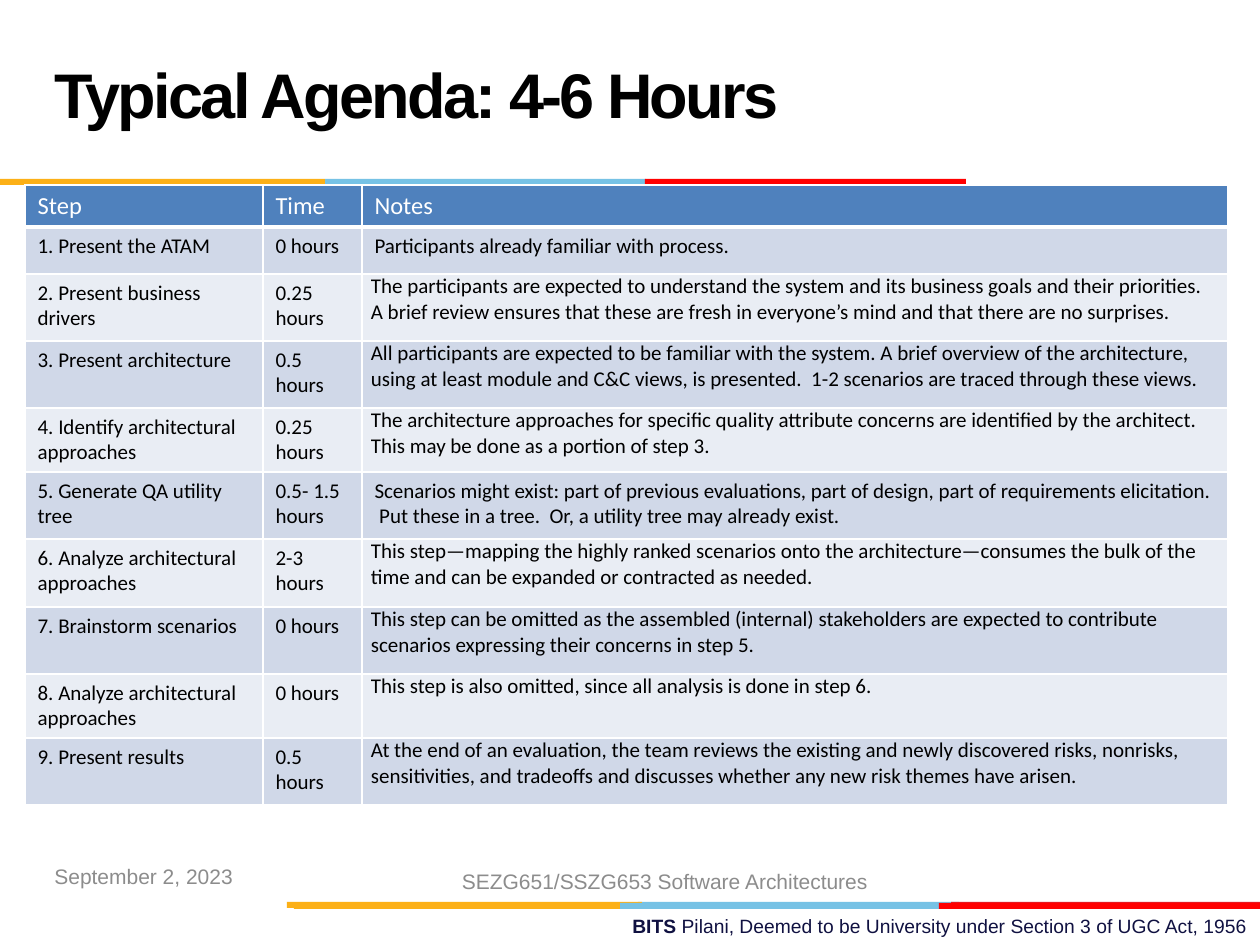
from lxml import etree
from pptx import Presentation
from pptx import util as u
from pptx.dml.color import RGBColor
from pptx.enum import shapes, text
from pptx.oxml.ns import qn

BLACK = RGBColor(0x00, 0x00, 0x00)
WHITE = RGBColor(0xFF, 0xFF, 0xFF)
GRAY = RGBColor(0x8C, 0x8C, 0x8C)
NAVY = RGBColor(0x10, 0x11, 0x41)
GOLD = RGBColor(0xFC, 0xB0, 0x17)
SKY = RGBColor(0x76, 0xC2, 0xE5)
CRIMSON = RGBColor(0xE3, 0x1C, 0x24)
RED = RGBColor(0xFF, 0x00, 0x00)
HEADER = RGBColor(0x4F, 0x81, 0xBD)
BANDS = [RGBColor(0xD0, 0xD8, 0xE8), RGBColor(0xE9, 0xED, 0xF4)]

TITLE = "Typical Agenda: 4-6 Hours"
DATE = "September 2, 2023"
COURSE = "SEZG651/SSZG653 Software Architectures"
UNIVERSITY = "BITS "
STATUS = "Pilani, Deemed to be University under Section 3 of UGC Act, 1956"

HEADINGS = ("Step", "Time", "Notes")
STEPS = [
    ("1. Present the ATAM", "0 hours", "Participants already familiar with process."),
    ("2. Present business drivers", "0.25 hours",
     "The participants are expected to understand the system and its business goals and their "
     "priorities. A brief review ensures that these are fresh in everyone’s mind and that there "
     "are no surprises."),
    ("3. Present architecture", "0.5 hours",
     "All participants are expected to be familiar with the system. A brief overview of the "
     "architecture, using at least module and C&C views, is presented.  1-2 scenarios are traced "
     "through these views."),
    ("4. Identify architectural approaches", "0.25 hours",
     "The architecture approaches for specific quality attribute concerns are identified by the "
     "architect. This may be done as a portion of step 3."),
    ("5. Generate QA utility tree", "0.5- 1.5 hours",
     "Scenarios might exist: part of previous evaluations, part of design, part of requirements "
     "elicitation.  Put these in a tree.  Or, a utility tree may already exist."),
    ("6. Analyze architectural approaches", "2-3 hours",
     "This step—mapping the highly ranked scenarios onto the architecture—consumes the bulk of "
     "the time and can be expanded or contracted as needed."),
    ("7. Brainstorm scenarios", "0 hours",
     "This step can be omitted as the assembled (internal) stakeholders are expected to "
     "contribute scenarios expressing their concerns in step 5."),
    ("8. Analyze architectural approaches", "0 hours",
     "This step is also omitted, since all analysis is done in step 6."),
    ("9. Present results", "0.5 hours",
     "At the end of an evaluation, the team reviews the existing and newly discovered risks, "
     "nonrisks, sensitivities, and tradeoffs and discusses whether any new risk themes have "
     "arisen."),
]
ROOMY_NOTES = {1, 5}
COLUMN_WIDTHS = [238, 99, 866]
ROW_HEIGHTS = [42, 47, 67, 67, 64, 67, 68, 67, 64, 67]

BAR_HEIGHT = 6
STRIPES = [
    (902, [(638, 321, SKY), (951, 309, CRIMSON), (287, 355, GOLD)]),
    (903, [(620, 321, SKY), (294, 326, GOLD), (939, 321, RED)]),
    (179, [(325, 321, SKY), (0, 325, GOLD), (645, 321, RED)]),
]


def px(count):
    return u.Emu(round(count * 914400 / 126))


def add_run(paragraph, words, size, color, font="Arial", bold=False):
    run = paragraph.add_run()
    run.text = words
    run.font.name = font
    run.font.size = u.Pt(size)
    run.font.bold = bold
    run.font.color.rgb = color
    return run


def add_line(slide, box, align, anchor):
    frame = slide.shapes.add_textbox(*map(px, box)).text_frame
    frame.word_wrap = True
    frame.vertical_anchor = anchor
    frame.paragraphs[0].alignment = align
    return frame.paragraphs[0]


def add_bar(slide, left, top, width, color):
    bar = slide.shapes.add_shape(
        shapes.MSO_SHAPE.RECTANGLE, px(left), px(top), px(width), px(BAR_HEIGHT))
    bar.shadow.inherit = False
    bar.fill.solid()
    bar.fill.fore_color.rgb = color
    bar.line.fill.background()


def add_borders(cell, bottom):
    properties = cell._tc.get_or_add_tcPr()
    for side, points in (("L", 1), ("R", 1), ("T", 1), ("B", bottom)):
        border = etree.SubElement(properties, qn(f"a:ln{side}"), w=str(u.Pt(points)))
        fill = etree.SubElement(border, qn("a:solidFill"))
        etree.SubElement(fill, qn("a:srgbClr"), val=str(WHITE))


def add_agenda(slide):
    agenda = slide.shapes.add_table(
        len(ROW_HEIGHTS), len(COLUMN_WIDTHS), px(25), px(185),
        px(sum(COLUMN_WIDTHS)), px(sum(ROW_HEIGHTS))).table
    agenda.first_row = False
    agenda.horz_banding = False
    for column, width in zip(agenda.columns, COLUMN_WIDTHS):
        column.width = px(width)
    for row, height in zip(agenda.rows, ROW_HEIGHTS):
        row.height = px(height)
    for r, entries in enumerate([HEADINGS] + STEPS):
        heading = r == 0
        for c, words in enumerate(entries):
            cell = agenda.cell(r, c)
            add_borders(cell, 3 if heading else 1)
            cell.fill.solid()
            cell.fill.fore_color.rgb = HEADER if heading else BANDS[(r - 1) % 2]
            paragraph = cell.text_frame.paragraphs[0]
            add_run(paragraph, words, 14 if heading else 12,
                    WHITE if heading else BLACK, "Calibri")
            if c == 2 and not heading and r not in ROOMY_NOTES:
                cell.margin_left = cell.margin_right = px(9)
                cell.margin_top = cell.margin_bottom = 0
                paragraph.space_after = u.Pt(4)


def main():
    deck = Presentation()
    deck.slide_width, deck.slide_height = px(1260), px(945)
    slide = deck.slides.add_slide(deck.slide_layouts[6])
    left, center, right = text.PP_ALIGN.LEFT, text.PP_ALIGN.CENTER, text.PP_ALIGN.RIGHT
    top, middle = text.MSO_ANCHOR.TOP, text.MSO_ANCHOR.MIDDLE

    credit = add_line(slide, (451, 908, 809, 36), right, top)
    add_run(credit, UNIVERSITY, 11, NAVY, bold=True)
    add_run(credit, STATUS, 11, NAVY)

    for bar_top, bars in STRIPES:
        for bar_left, width, color in bars:
            add_bar(slide, bar_left, bar_top, width, color)

    add_agenda(slide)

    title = add_line(slide, (42, 21, 872, 158), left, middle)
    title.line_spacing = u.Pt(36)
    heading = add_run(title, TITLE, 36, BLACK, bold=True)
    heading.font._element.set("spc", "-150")

    add_run(add_line(slide, (42, 851, 294, 50), left, middle), DATE, 12, GRAY)
    add_run(add_line(slide, (438, 856, 454, 50), center, middle), COURSE, 12, GRAY)

    deck.save("out.pptx")


if __name__ == "__main__":
    main()
